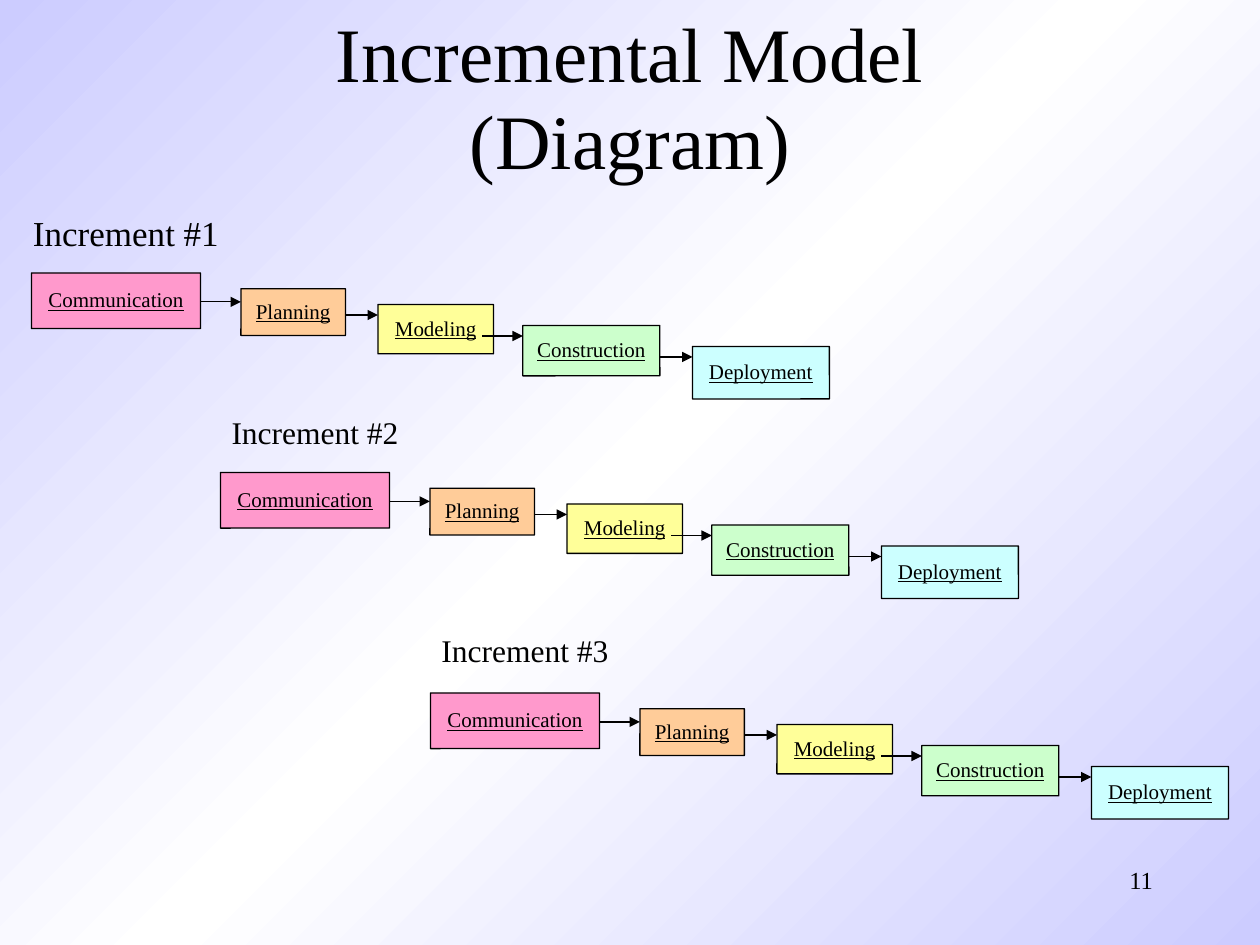
from dataclasses import dataclass

from lxml import etree
from pptx import Presentation
from pptx.dml.color import RGBColor
from pptx.enum.shapes import MSO_CONNECTOR, MSO_SHAPE
from pptx.enum.text import MSO_ANCHOR, MSO_AUTO_SIZE, PP_ALIGN
from pptx.oxml.ns import qn
from pptx.slide import Slide
from pptx.util import Inches, Pt

ROUND = MSO_SHAPE.ROUNDED_RECTANGLE
LINE = MSO_CONNECTOR.STRAIGHT
TOP, MID = MSO_ANCHOR.TOP, MSO_ANCHOR.MIDDLE
GROW, FIXED = MSO_AUTO_SIZE.SHAPE_TO_FIT_TEXT, MSO_AUTO_SIZE.NONE
CENTER, RIGHT = PP_ALIGN.CENTER, PP_ALIGN.RIGHT

FONT = "Times New Roman"
WIDE, HIGH = Inches(10), Inches(7.5)
COLS, ROWS = 120, 90
CELL = WIDE / COLS
HEX = {
    "ink": "000000", "edge": "CCCCFF", "glow": "FFFFFF",
    "pink": "FF99CC", "peach": "FFCC99", "lemon": "FFFF99",
    "mint": "CCFFCC", "aqua": "CCFFFF",
}


@dataclass
class Step:
    """A stage box; col and row count from the start of its chain."""
    name: str
    tint: str
    col: float
    row: float
    wide: float
    high: float
    run: float = 0  # length of the arrow that leads in
    drop: float = 0  # rows from the box top to the arrow


@dataclass
class Chain:
    name: str
    size: int
    col: float
    row: float
    label: tuple[float, float, float, float]


STEPS = [
    Step("Communication", "pink", 0, 0, 16.1, 5.3),
    Step("Planning", "peach", 19.95, 1.5, 9.95, 4.45, 3.85, 1.25),
    Step("Modeling", "lemon", 33, 3, 11, 4.7, 3.1, 1),
    Step("Construction", "mint", 46.8, 5, 13.05, 4.8, 3.85, 1),
    Step("Deployment", "aqua", 62.95, 7, 13.05, 5, 3.1, 1),
]
CHAINS = [
    Chain("Increment #1", 20, 3, 26, (1.8, 19.85, 20.4, 5)),
    Chain("Increment #2", 18, 21, 45, (20.7, 39, 18.6, 4.7)),
    Chain("Increment #3", 18, 41, 66, (40.7, 59.8, 18.6, 4.7)),
]


def grid(*cells: float) -> list[int]:
    return [round(cell * CELL) for cell in cells]


def tint(key: str) -> RGBColor:
    return RGBColor.from_string(HEX[key])


def write(shape, lines: list[str], size: int, align=CENTER, anchor=TOP,
          grow: bool = False, under: bool = False) -> None:
    frame = shape.text_frame
    frame.word_wrap, frame.vertical_anchor = not grow, anchor
    frame.auto_size = GROW if grow else FIXED
    para = frame.paragraphs[0]
    para.alignment, para.line_spacing = align, 0.95
    for i, line in enumerate(lines):
        if i:
            para.add_line_break()
        run = para.add_run()
        run.text = line
        font = run.font
        font.name, font.size = FONT, Pt(size)
        font.color.rgb = tint("ink")
        if under:
            font.underline = True


def label(slide: Slide, cells: tuple, lines: list[str], size: int, **look) -> None:
    write(slide.shapes.add_textbox(*grid(*cells)), lines, size, **look)


def box(slide: Slide, step: Step, col: float, row: float) -> None:
    shape = slide.shapes.add_shape(
        ROUND, *grid(col + step.col, row + step.row, step.wide, step.high))
    shape.adjustments[0] = 0.004
    shape.shadow.inherit = False
    shape.fill.solid()
    shape.fill.fore_color.rgb = tint(step.tint)
    shape.line.color.rgb = tint("ink")
    shape.line.width = Pt(0.75)
    write(shape, [step.name], 12, anchor=MID, under=True)


def arrow(slide: Slide, step: Step, col: float, row: float) -> None:
    tip, y = col + step.col, row + step.row + step.drop
    link = slide.shapes.add_connector(LINE, *grid(tip - step.run, y, tip, y))
    link.line.color.rgb = tint("ink")
    link.line.width = Pt(0.75)
    etree.SubElement(link.line._get_or_add_ln(), qn("a:tailEnd"), type="triangle")
    etree.SubElement(link._element.spPr, qn("a:effectLst"))


def paint(slide: Slide) -> None:
    fill = slide.background.fill
    fill.gradient()
    fill.gradient_angle = 135
    stops = slide._element.find(".//" + qn("a:gsLst"))
    for stop in list(stops):
        stops.remove(stop)
    for pos, key in ((0, "edge"), (50, "glow"), (100, "edge")):
        stop = etree.SubElement(stops, qn("a:gs"), pos=str(pos * 1000))
        etree.SubElement(stop, qn("a:srgbClr"), val=HEX[key])


def main() -> None:
    deck = Presentation()
    deck.slide_width, deck.slide_height = WIDE, HIGH
    slide = deck.slides.add_slide(deck.slide_layouts[6])
    paint(slide)

    # Page number and title
    label(slide, (86, ROWS - 8, 25, 3.8), ["11"], 14, align=RIGHT)
    label(slide, (9, 0.6, COLS - 18, 17.8),
          ["Incremental Model", "(Diagram)"], 44, anchor=MID)

    # Increments, each a staircase of linked stages
    for chain in CHAINS:
        for step in STEPS:
            box(slide, step, chain.col, chain.row)
        for step in STEPS[1:]:
            arrow(slide, step, chain.col, chain.row)
        label(slide, chain.label, [chain.name], chain.size, grow=True)

    deck.save("out.pptx")


if __name__ == "__main__":
    main()
